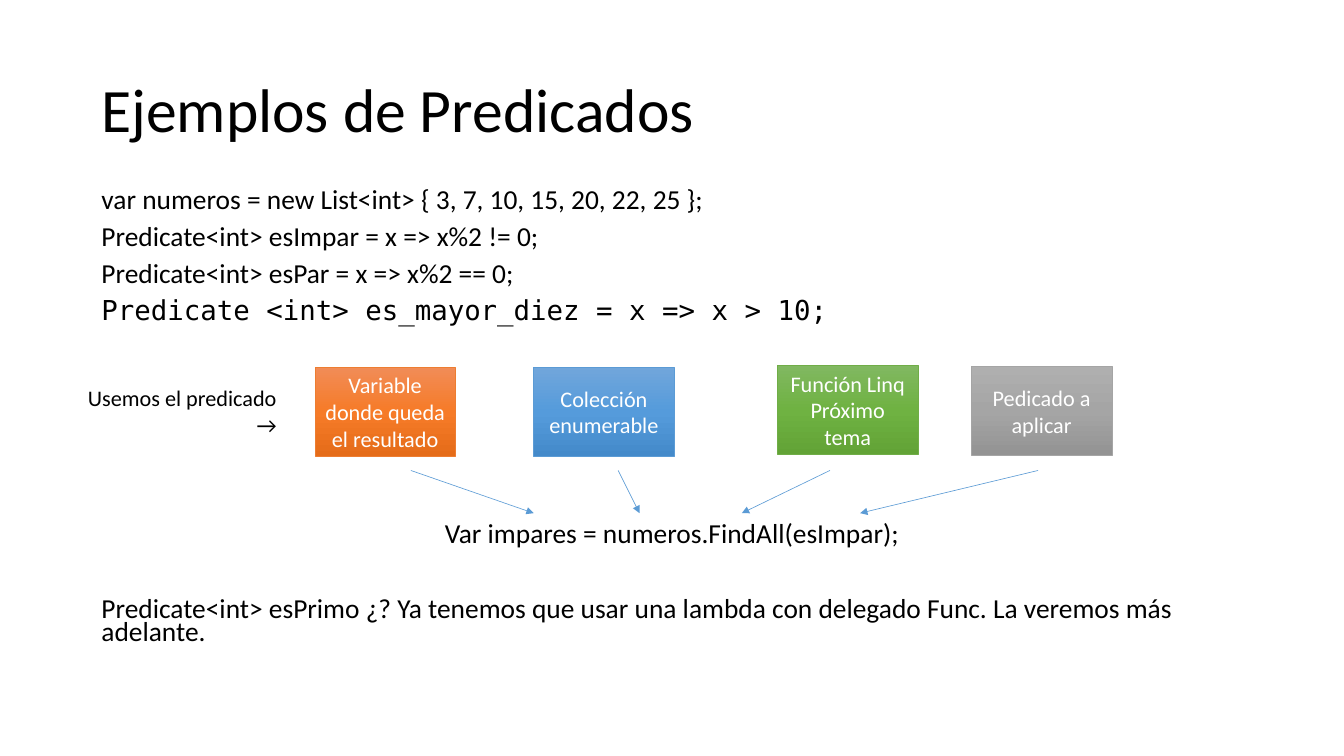
"""Build the slide "Ejemplos de Predicados" with python-pptx."""
from copy import deepcopy

from pptx import Presentation
from pptx.dml.color import RGBColor
from pptx.enum.shapes import MSO_CONNECTOR, MSO_SHAPE
from pptx.enum.text import MSO_ANCHOR, MSO_AUTO_SIZE, PP_ALIGN
from pptx.oxml.ns import qn
from pptx.util import Inches, Pt

LEFT, CENTER, RIGHT = PP_ALIGN.LEFT, PP_ALIGN.CENTER, PP_ALIGN.RIGHT
MIDDLE, TOP = MSO_ANCHOR.MIDDLE, MSO_ANCHOR.TOP
NO_FIT, GROW = MSO_AUTO_SIZE.NONE, MSO_AUTO_SIZE.SHAPE_TO_FIT_TEXT
RECTANGLE, STRAIGHT = MSO_SHAPE.RECTANGLE, MSO_CONNECTOR.STRAIGHT

BLACK = RGBColor(0x00, 0x00, 0x00)
WHITE = RGBColor(0xFF, 0xFF, 0xFF)
ORANGE = RGBColor(0xED, 0x7D, 0x31)
BLUE = RGBColor(0x5B, 0x9B, 0xD5)
GREEN = RGBColor(0x70, 0xAD, 0x47)
GRAY = RGBColor(0xA5, 0xA5, 0xA5)
ORANGE_SHADES = RGBColor(0xF1, 0x8C, 0x57), RGBColor(0xF6, 0x7B, 0x28), RGBColor(0xE5, 0x6C, 0x19)
BLUE_SHADES = RGBColor(0x71, 0xA6, 0xDB), RGBColor(0x55, 0x9B, 0xDB), RGBColor(0x44, 0x8A, 0xCA)
GREEN_SHADES = RGBColor(0x81, 0xB8, 0x61), RGBColor(0x6F, 0xB2, 0x42), RGBColor(0x62, 0xA3, 0x36)
GRAY_SHADES = RGBColor(0xAF, 0xAF, 0xAF), RGBColor(0xA5, 0xA5, 0xA5), RGBColor(0x93, 0x93, 0x93)

SANS, MONO = "Calibri", "DejaVu Sans Mono"


def place(shape, left, top, width, height):
    shape.left, shape.top = Inches(left), Inches(top)
    shape.width, shape.height = Inches(width), Inches(height)


def format_text(paragraph, size, color, align, font=SANS):
    paragraph.alignment = align
    for run in paragraph.runs:
        run.font.name = font
        run.font.size = Pt(size)
        run.font.color.rgb = color


prs = Presentation()
prs.slide_width, prs.slide_height = Inches(15.11), Inches(8.5)
slide = prs.slides.add_slide(prs.slide_layouts[1])

title = slide.shapes.title
place(title, 1.04, 0.45, 13.03, 1.64)
title.text_frame.text = "Ejemplos de Predicados"
title.text_frame.vertical_anchor = MIDDLE
title.text_frame.auto_size = NO_FIT
heading = title.text_frame.paragraphs[0]
heading.line_spacing = 0.9
format_text(heading, 49.9, BLACK, LEFT)

code_lines = [
    ("var numeros = new List<int> { 3, 7, 10, 15, 20, 22, 25 };", SANS, LEFT, 11.3),
    ("Predicate<int> esImpar = x => x%2 != 0;", SANS, LEFT, 11.3),
    ("Predicate<int> esPar = x => x%2 == 0;", SANS, LEFT, 11.3),
    ("Predicate <int> es_mayor_diez = x => x > 10;", MONO, LEFT, 11.3),
    ("Var impares = numeros.FindAll(esImpar);", SANS, CENTER, 162),
    ("Predicate<int> esPrimo ¿? Ya tenemos que usar una lambda con delegado Func. "
     "La veremos más adelante.", SANS, LEFT, 41.5),
]
code = slide.placeholders[1]
place(code, 1.04, 2.1, 13.03, 5.26)
code.text_frame.text = "\n".join(line[0] for line in code_lines)
code.text_frame.vertical_anchor = TOP
code.text_frame.auto_size = NO_FIT
for paragraph, (_, font, align, gap) in zip(code.text_frame.paragraphs, code_lines):
    paragraph.line_spacing = 0.7
    paragraph.space_before = Pt(gap)
    format_text(paragraph, 22.2, BLACK, align, font)
    properties = paragraph._p.get_or_add_pPr()
    properties.set("marL", "0")
    properties.set("indent", "0")
    properties.append(properties.makeelement(qn("a:buNone"), {}))

parts = [
    ("Variable donde queda el resultado", 3.54, 4.13, ORANGE, ORANGE_SHADES),
    ("Colección enumerable", 6, 4.13, BLUE, BLUE_SHADES),
    ("Función Linq\nPróximo tema", 8.74, 4.11, GREEN, GREEN_SHADES),
    ("Pedicado a aplicar", 10.92, 4.12, GRAY, GRAY_SHADES),
]
for caption, left, top, outline, shades in parts:
    part = slide.shapes.add_shape(RECTANGLE, Inches(left), Inches(top), Inches(1.58), Inches(1))
    part.shadow.inherit = False
    part.line.color.rgb = outline
    part.line.width = Pt(0.5)
    part.fill.gradient()
    part.fill.gradient_angle = 270
    stop_list = part._element.spPr.find(".//" + qn("a:gsLst"))
    stop_list.append(deepcopy(stop_list[0]))
    for stop, position, shade in zip(part.fill.gradient_stops, (0, 0.5, 1), shades):
        stop.position = position
        stop.color.rgb = shade
    part.text_frame.text = caption
    part.text_frame.word_wrap = True
    part.text_frame.vertical_anchor = MIDDLE
    for paragraph in part.text_frame.paragraphs:
        format_text(paragraph, 18, WHITE, CENTER)

for start, end in [(4.62, 6), (6.95, 7.19), (9.33, 8.34), (11.67, 9.67)]:
    arrow = slide.shapes.add_connector(
        STRAIGHT, Inches(start), Inches(5.29), Inches(end), Inches(5.77))
    arrow.line.color.rgb = BLUE
    arrow.line.width = Pt(0.5)
    stroke = arrow.line._get_or_add_ln()
    stroke.append(stroke.makeelement(qn("a:tailEnd"), {"type": "triangle"}))
    arrow_properties = arrow._element.spPr
    arrow_properties.append(arrow_properties.makeelement(qn("a:effectLst"), {}))

hint = slide.shapes.add_textbox(Inches(0.89), Inches(4.27), Inches(2.35), Inches(0.71))
hint.text_frame.text = "Usemos el predicado\n→"
hint.text_frame.word_wrap = False
hint.text_frame.auto_size = GROW
for paragraph, align in zip(hint.text_frame.paragraphs, (LEFT, RIGHT)):
    format_text(paragraph, 18, BLACK, align)

prs.save("out.pptx")
